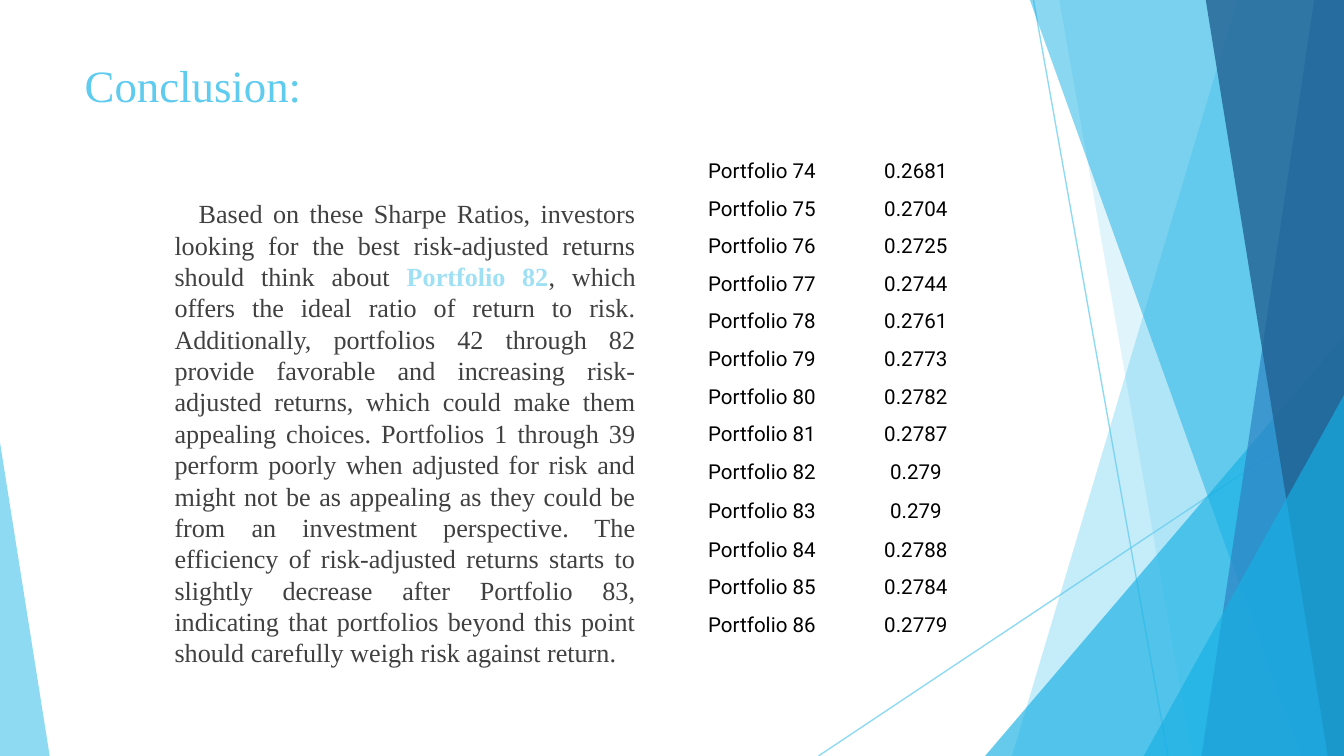
from lxml.etree import SubElement
from pptx import Presentation
from pptx.dml.color import RGBColor
from pptx.enum.shapes import MSO_CONNECTOR, MSO_SHAPE
from pptx.enum.text import MSO_ANCHOR, MSO_AUTO_SIZE, PP_ALIGN
from pptx.oxml.ns import qn
from pptx.util import Inches, Pt

WIDTH = 10
HEIGHT = WIDTH * 9 / 16
TOP = -0.01
SKY, CYAN, BLUE, NAVY = "5FCBEF", "17B0E4", "2E83C3", "226292"
SERIF = "Times New Roman"

RAYS = [((7.69, 0), (8.69, HEIGHT)), ((WIDTH, 3.02), (6.09, HEIGHT))]

# Bands reach the right edge: top left x, bottom left x, colour, opacity
BANDS_BEHIND = [(9.21, 7.53, SKY, 36), (7.88, 8.87, SKY, 20)]
BANDS_FRONT = [(7.66, 9.68, CYAN, 50), (9.78, 8.94, BLUE, 70), (8.97, 9.88, NAVY, 80)]

# Corner triangles: left, top, width, apex position, colour, opacity
LARGE_CORNER = (7.33, 2.5, 2.67, 1, CYAN, 66)
SMALL_CORNER = (8.51, 2.94, 1.49, 1, CYAN, 66)
LEFT_CORNER = (0, 3.29, 0.37, 0, SKY, 70)

BODY_RUNS = [
    ("Based on these Sharpe Ratios, investors looking for the best risk-adjusted "
     "returns should think about ", "404040", False),
    ("Portfolio 82", "9FE0F5", True),
    (", which offers the ideal ratio of return to risk. Additionally, portfolios 42 "
     "through 82 provide favorable and increasing risk-adjusted returns, which could "
     "make them appealing choices. Portfolios 1 through 39 perform poorly when adjusted "
     "for risk and might not be as appealing as they could be from an investment "
     "perspective. The efficiency of risk-adjusted returns starts to slightly decrease "
     "after Portfolio 83, indicating that portfolios beyond this point should carefully "
     "weigh risk against return.", "404040", False),
]

FIRST_PORTFOLIO = 74
SHARPE_RATIOS = ["0.2681", "0.2704", "0.2725", "0.2744", "0.2761", "0.2773", "0.2782",
                 "0.2787", "0.279", "0.279", "0.2788", "0.2784", "0.2779"]


def color(value):
    return RGBColor.from_string(value)


def set_all(target, values):
    for name, value in values.items():
        setattr(target, name, value)


def set_opacity(fill_parent, opacity):
    for color_element in fill_parent.iter(qn("a:srgbClr")):
        SubElement(color_element, qn("a:alpha"), val=str(opacity * 1000))


def add_run(paragraph, text, size, font, value, bold=False):
    run = paragraph.add_run()
    run.text = text
    set_all(run.font, {"size": Pt(size), "name": font, "bold": bold})
    run.font.color.rgb = color(value)


def paint(shape, value, opacity):
    shape.shadow.inherit = False
    shape.fill.solid()
    shape.fill.fore_color.rgb = color(value)
    set_opacity(shape._element.spPr, opacity)
    shape.line.fill.background()


def add_ray(slide, start, end):
    ray = slide.shapes.add_connector(
        MSO_CONNECTOR.STRAIGHT, *(Inches(number) for number in start + end))
    ray.line.width = Pt(0.75)
    ray.line.color.rgb = color(SKY)
    properties = ray._element.spPr
    set_opacity(properties, 70)
    SubElement(properties, qn("a:effectLst"))


def add_band(slide, top_left, bottom_left, value, opacity):
    builder = slide.shapes.build_freeform(Inches(top_left), Inches(TOP))
    corners = [(WIDTH, TOP), (WIDTH, HEIGHT), (bottom_left, HEIGHT)]
    builder.add_line_segments([(Inches(x), Inches(y)) for x, y in corners], close=True)
    paint(builder.convert_to_shape(), value, opacity)


def add_corner(slide, left, top, width, apex, value, opacity):
    triangle = slide.shapes.add_shape(
        MSO_SHAPE.ISOSCELES_TRIANGLE, Inches(left), Inches(top),
        Inches(width), Inches(HEIGHT - top))
    triangle.adjustments[0] = apex
    paint(triangle, value, opacity)


def add_decoration(slide):
    for start, end in RAYS:
        add_ray(slide, start, end)
    for band in BANDS_BEHIND:
        add_band(slide, *band)
    add_corner(slide, *LARGE_CORNER)
    for band in BANDS_FRONT:
        add_band(slide, *band)
    add_corner(slide, *SMALL_CORNER)
    add_corner(slide, *LEFT_CORNER)


def format_frame(frame, top_margin):
    set_all(frame, {
        "word_wrap": True, "auto_size": MSO_AUTO_SIZE.NONE,
        "vertical_anchor": MSO_ANCHOR.TOP, "margin_top": Inches(top_margin),
        "margin_left": Inches(0.1), "margin_right": Inches(0.1),
        "margin_bottom": Inches(0.1),
    })


def fill_title(slide):
    title = slide.shapes.title
    set_all(title, {"left": Inches(0.53), "top": Inches(0.43),
                    "width": Inches(4.67), "height": Inches(0.79)})
    format_frame(title.text_frame, 0)
    paragraph = title.text_frame.paragraphs[0]
    paragraph.alignment = PP_ALIGN.LEFT
    add_run(paragraph, "Conclusion:", 24, SERIF, SKY)


def add_body(slide):
    box = slide.shapes.add_textbox(Inches(0.92), Inches(1.37), Inches(3.91), Inches(3.65))
    format_frame(box.text_frame, 0.1)
    paragraph = box.text_frame.paragraphs[0]
    set_all(paragraph, {"alignment": PP_ALIGN.JUSTIFY, "line_spacing": 1.0})
    properties = paragraph._p.get_or_add_pPr()
    properties.set("marL", str(Inches(0.28)))
    properties.set("indent", str(Inches(0.18)))
    for text, value, bold in BODY_RUNS:
        add_run(paragraph, text, 14, SERIF, value, bold)


def fill_cell(cell, text):
    cell.fill.background()
    set_all(cell, {
        "vertical_anchor": MSO_ANCHOR.MIDDLE, "margin_left": Inches(0.01),
        "margin_right": Inches(0.01), "margin_top": Inches(0.01), "margin_bottom": 0,
    })
    paragraph = cell.text_frame.paragraphs[0]
    paragraph.alignment = PP_ALIGN.CENTER
    add_run(paragraph, text, 11, "Roboto", "000000")


def add_ratio_table(slide):
    table = slide.shapes.add_table(
        len(SHARPE_RATIOS), 2, Inches(5), Inches(1.13), Inches(2.29), Inches(3.65)).table
    set_all(table, {"first_row": False, "horz_banding": False})
    for column, width in zip(table.columns, (1.34, 0.95)):
        column.width = Inches(width)
    for index, ratio in enumerate(SHARPE_RATIOS):
        portfolio = FIRST_PORTFOLIO + index
        table.rows[index].height = Inches(0.3 if portfolio == 83 else 0.28)
        fill_cell(table.cell(index, 0), f"Portfolio {portfolio}")
        fill_cell(table.cell(index, 1), ratio)


def main():
    presentation = Presentation()
    set_all(presentation, {"slide_width": Inches(WIDTH), "slide_height": Inches(HEIGHT)})
    title_only = presentation.slide_layouts[5]
    slide = presentation.slides.add_slide(title_only)
    add_decoration(slide)
    fill_title(slide)
    add_body(slide)
    add_ratio_table(slide)
    presentation.save("out.pptx")


if __name__ == "__main__":
    main()
